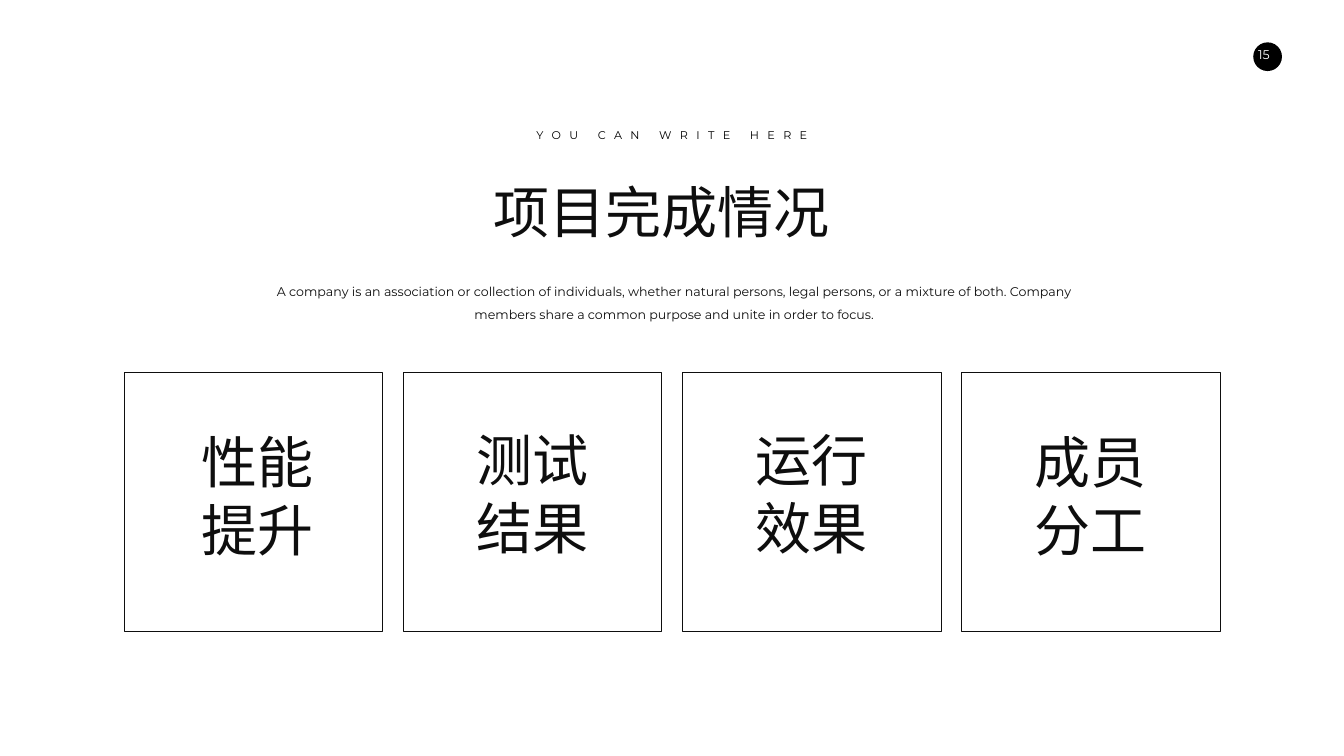
from pptx import Presentation
from pptx.dml.color import RGBColor
from pptx.enum.shapes import MSO_SHAPE
from pptx.enum.text import PP_ALIGN
from pptx.oxml.ns import qn
from pptx.util import Inches, Pt
from lxml.etree import SubElement

BLACK = RGBColor(0x00, 0x00, 0x00)
INK = RGBColor(0x0E, 0x0E, 0x0E)
WHITE = RGBColor(0xFF, 0xFF, 0xFF)

LATIN = "Montserrat"
CHINESE = "Noto Sans CJK SC"

FORMATS = {
    "page": {"name": LATIN, "size": Pt(18), "color": WHITE},
    "kicker": {"name": LATIN, "size": Pt(16), "color": BLACK},
    "title": {"name": CHINESE, "size": Pt(80), "color": INK},
    "body": {"name": LATIN, "size": Pt(18), "color": INK},
}

CARD_LEFT, CARD_TOP = 2.46, 7.39
CARD_SIZE, CARD_PITCH = 5.13, 5.537
# caption, offset from the left of its card, top
CAPTIONS = [
    ("性能提升", 1.22, 8.44),
    ("测试结果", 1.14, 8.4),
    ("运行效果", 1.14, 8.4),
    ("成员分工", 1.14, 8.44),
]


class SlideBuilder:
    def __init__(self, slide):
        self.slide = slide

    def shape(self, kind, left, top, size, fill=None, line=None):
        """Add a preset shape as wide as it is high."""
        shape = self.slide.shapes.add_shape(
            kind, Inches(left), Inches(top), Inches(size), Inches(size))
        shape.shadow.inherit = False
        if fill is None:
            shape.fill.background()
        else:
            shape.fill.solid()
            shape.fill.fore_color.rgb = fill
        if line is None:
            shape.line.fill.background()
        else:
            shape.line.color.rgb = line
            shape.line.width = Pt(1)

    def text(self, words, left, top, width, height, style,
             wrap=True, line_spacing=None, tracking=None, margins=(0.1, 0.05)):
        """Add centred text; tracking is extra space between letters in points."""
        frame = self.slide.shapes.add_textbox(
            Inches(left), Inches(top), Inches(width), Inches(height)).text_frame
        side, edge = margins
        settings = {
            "word_wrap": wrap,
            "margin_left": Inches(side), "margin_right": Inches(side),
            "margin_top": Inches(edge), "margin_bottom": Inches(edge),
        }
        for name, value in settings.items():
            setattr(frame, name, value)
        paragraph = frame.paragraphs[0]
        paragraph.alignment = PP_ALIGN.CENTER
        if line_spacing:
            paragraph.line_spacing = line_spacing
        run = paragraph.add_run()
        run.text = words
        for name, value in FORMATS[style].items():
            if name == "color":
                run.font.color.rgb = value
            else:
                setattr(run.font, name, value)
        properties = run._r.get_or_add_rPr()
        SubElement(properties, qn("a:ea")).set("typeface", FORMATS[style]["name"])
        if tracking:
            properties.set("spc", str(round(tracking * 100)))


def main():
    deck = Presentation()
    deck.slide_width, deck.slide_height = Inches(26.66), Inches(15)
    page = SlideBuilder(deck.slides.add_slide(deck.slide_layouts[6]))

    page.shape(MSO_SHAPE.OVAL, 24.86, 0.84, 0.57, fill=BLACK)
    page.text("15", 24.64, 0.84, 0.86, 0.5, "page", margins=(0.2, 0.1))

    page.text("项目完成情况", 6.77, 3.47, 12.7, 1.4, "title")
    page.text("YOU CAN WRITE HERE", 10.44, 2.49, 5.78, 0.37, "kicker",
              wrap=False, tracking=12)
    page.text("A company is an association or collection of individuals, whether "
              "natural persons, legal persons, or a mixture of both. Company members "
              "share a common purpose and unite in order to focus.",
              5.36, 5.44, 16.03, 0.95, "body", line_spacing=1.5)

    for index, (caption, offset, top) in enumerate(CAPTIONS):
        left = CARD_LEFT + index * CARD_PITCH
        page.shape(MSO_SHAPE.RECTANGLE, left, CARD_TOP, CARD_SIZE, line=INK)
        page.text(caption, left + offset, top, 2.85, 1.45, "title")

    deck.save("out.pptx")


if __name__ == "__main__":
    main()
